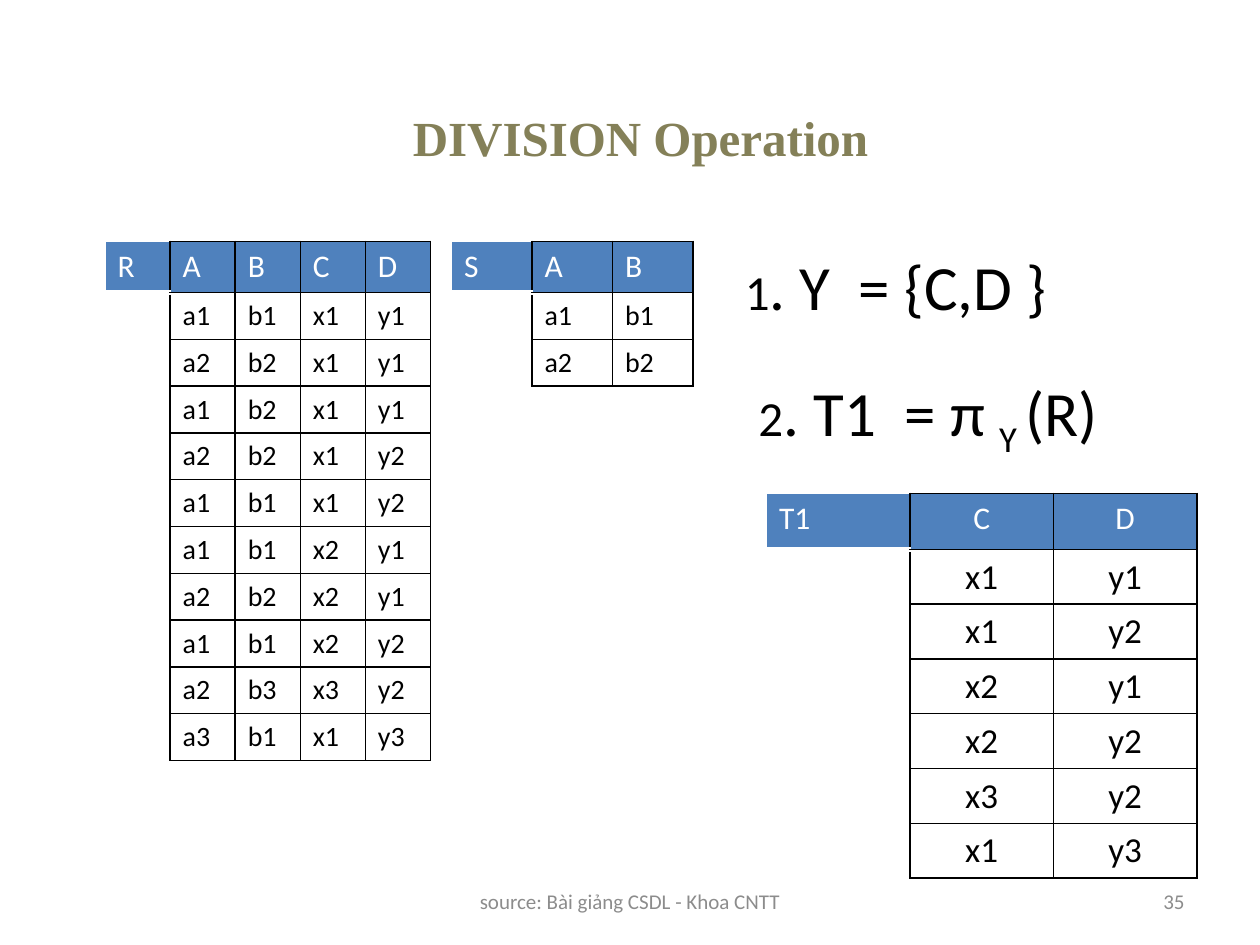
from dataclasses import dataclass

from lxml import etree
from pptx import Presentation
from pptx.dml import color
from pptx.enum import text
from pptx.oxml import ns
from pptx.util import Pt

LEFT, CENTER, RIGHT = text.PP_ALIGN.LEFT, text.PP_ALIGN.CENTER, text.PP_ALIGN.RIGHT


@dataclass(frozen=True)
class Theme:
    """Colours, fonts and type sizes of the slide."""
    title: str = "848058"
    ink: str = "000000"
    paper: str = "FFFFFF"
    header: str = "4F81BD"
    muted: str = "8C8C8C"
    title_font: str = "Times New Roman"
    body_font: str = "Calibri"
    title_size: int = 28
    formula_size: int = 36
    number_size: int = 28
    space_size: int = 20
    header_size: int = 18
    footer_size: int = 12


class SlideBuilder:
    """Adds styled elements to the current slide."""

    def __init__(self, s, theme):
        """Keep the slide and the theme."""
        self.s, self.theme = s, theme

    def style(self, r, size, rgb, font=None, bold=False):
        """Format one run."""
        r.font.size, r.font.bold = Pt(size), bold
        r.font.name = font or self.theme.body_font
        r.font.color.rgb = color.RGBColor.from_string(rgb)

    def title(self, words, x, y, w, h):
        """Fill and place the title placeholder."""
        t, sp = self.theme, self.s.shapes.title
        sp.left, sp.top, sp.width, sp.height = Pt(x), Pt(y), Pt(w), Pt(h)
        tf = sp.text_frame
        tf.text, tf.vertical_anchor = words, text.MSO_ANCHOR.MIDDLE
        p = tf.paragraphs[0]
        p.alignment = CENTER
        self.style(p.runs[0], t.title_size, t.title, t.title_font, True)

    def box(self, x, y, w, h):
        """Add a wrapping text box and return its text frame."""
        tf = self.s.shapes.add_textbox(Pt(x), Pt(y), Pt(w), Pt(h)).text_frame
        tf.word_wrap = True
        return tf

    def footer(self, words, x, w, align):
        """Add a grey line at the foot of the slide."""
        tf = self.box(x, 500.5, w, 28.75)
        tf.text, tf.vertical_anchor = words, text.MSO_ANCHOR.MIDDLE
        p = tf.paragraphs[0]
        p.alignment = align
        self.style(p.runs[0], self.theme.footer_size, self.theme.muted)

    def formula(self, parts, x, y):
        """Add a formula from (words, size, baseline) parts."""
        tf = self.box(x, y, 264, 51)
        tf.auto_size = text.MSO_AUTO_SIZE.SHAPE_TO_FIT_TEXT
        for words, size, baseline in parts:
            r = tf.paragraphs[0].add_run()
            r.text = words
            self.style(r, size, self.theme.ink)
            if baseline:
                r.font._element.set("baseline", str(baseline * 1000))

    def border(self, cell, side, rgb, width=1):
        """Draw one side of a cell."""
        tc_pr = cell._tc.get_or_add_tcPr()
        ln = etree.SubElement(tc_pr, ns.qn(f"a:ln{side}"), w=str(Pt(width)))
        fill = etree.SubElement(ln, ns.qn("a:solidFill"))
        etree.SubElement(fill, ns.qn("a:srgbClr"), val=rgb)

    def relation(self, header, rows, x, y, col_w, heights, size, align=LEFT, span=None):
        """Add a relation table with its name in the first column."""
        t = self.theme
        grid = [header.split()] + [["", *row.split()] for row in rows]
        n, m = len(grid), len(grid[0])
        head_h, row_h = heights
        tbl = self.s.shapes.add_table(n, m, Pt(x), Pt(y), Pt(col_w * m),
                                      Pt(head_h + row_h * (n - 1))).table
        tbl.first_row = tbl.horz_banding = False
        for col in tbl.columns:
            col.width = Pt(col_w)
        for i, values in enumerate(grid):
            tbl.rows[i].height = Pt(row_h if i else head_h)
            for j, value in enumerate(values):
                cell = tbl.cell(i, j)
                edge = t.ink if j else t.paper
                for side in "LRTB":
                    self.border(cell, side, t.ink if side == "R" else edge,
                                3 if side == "B" and i + j == 0 else 1)
                if i:
                    cell.fill.background()
                else:
                    cell.fill.solid()
                    cell.fill.fore_color.rgb = color.RGBColor.from_string(t.header)
                if value:
                    cell.text = value
                    p = cell.text_frame.paragraphs[0]
                    p.alignment = align if j else LEFT
                    self.style(p.runs[0], size if i else t.header_size,
                               t.ink if i else t.paper)
        tbl.cell(1, 0).merge(tbl.cell(span or n - 1, 0))


def main():
    """Build the slide and save it."""
    prs = Presentation()
    prs.slide_width, prs.slide_height = Pt(720), Pt(540)
    theme = Theme()
    b = SlideBuilder(prs.slides.add_slide(prs.slide_layouts[5]), theme)
    num, big = theme.number_size, theme.formula_size

    b.title("DIVISION Operation", 30, 54, 672, 49)
    b.footer("source: Bài giảng CSDL - Khoa CNTT", 246, 228, CENTER)
    b.footer("35", 516, 168, RIGHT)
    b.relation("S A B", ["a1 b1", "a2 b2"], 258, 138, 46, (29.2, 26.75), 16)
    b.relation("R A B C D",
               ["a1 b1 x1 y1", "a2 b2 x1 y1", "a1 b2 x1 y1", "a2 b2 x1 y2",
                "a1 b1 x1 y2", "a1 b1 x2 y1", "a2 b2 x2 y1", "a1 b1 x2 y2",
                "a2 b3 x3 y2", "a3 b1 x1 y3"],
               60, 138, 37.2, (29.2, 26.75), 16)
    b.formula([(" ", theme.space_size, 0), ("1", num, 0),
               (". Y  = {C,D }", big, 0), (" ", num, 0)], 414, 138)
    b.formula([(" 2", num, 0), (". T1  = π ", big, 0), ("Y ", big, -25),
               ("(R) ", big, 0), (" ", num, 0)], 420, 210)
    b.relation("T1 C D", ["x1 y1", "x1 y2", "x2 y1", "x2 y2", "x3 y2", "x1 y3"],
               438, 282, 82, (32, 31.3), 20, CENTER, span=4)
    prs.save("out.pptx")


if __name__ == "__main__":
    main()
